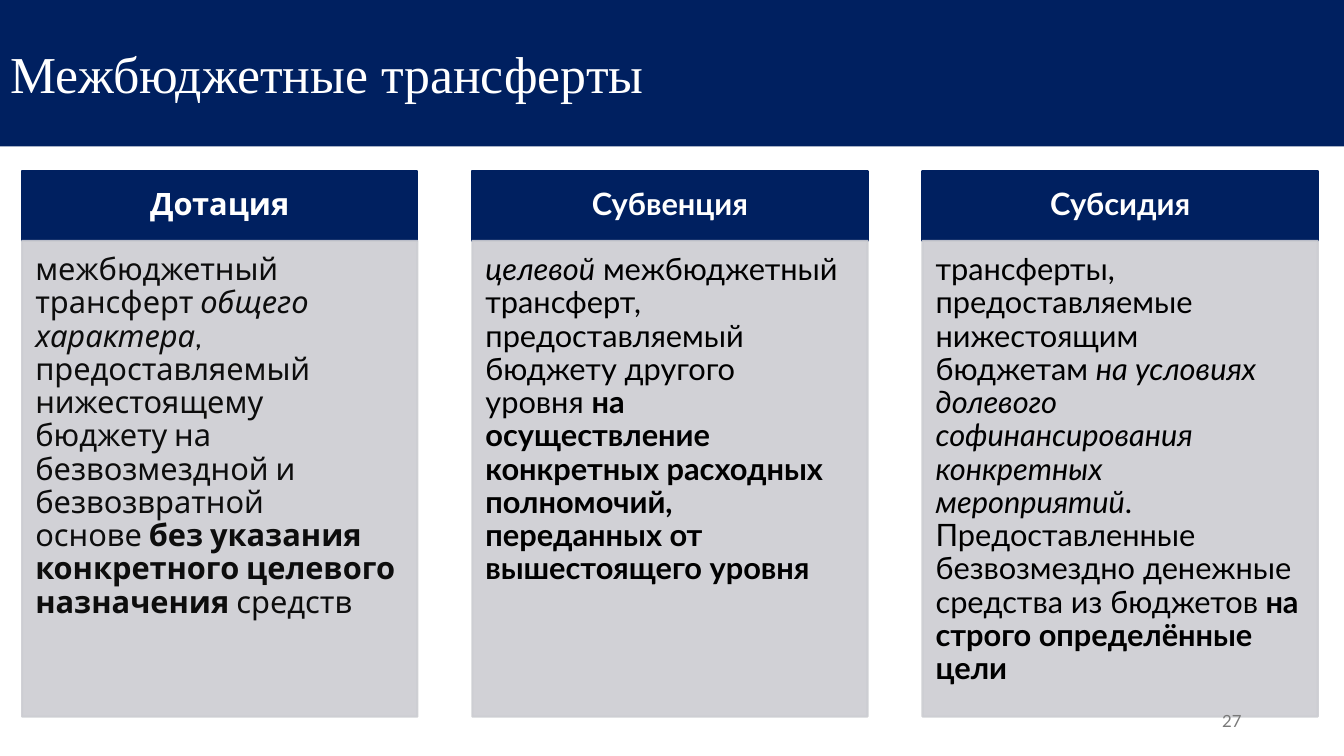
from lxml import etree
from pptx import Presentation
from pptx import util as u
from pptx.dml.color import RGBColor
from pptx.enum import shapes, text
from pptx.oxml.ns import qn

NAVY, GREY, WHITE = "002060", "CCCDD2", "FFFFFF"
PLAIN, BOLD, ITALIC = {}, {"bold": True}, {"italic": True}
TIE, HARD_SPACE = "~", chr(160)

TRANSFERS = [
    ("Дотация", "Cabin", "0D0D0D", [
        ("межбюджетный трансферт ", PLAIN),
        ("общего характера", ITALIC),
        (", предоставляемый нижестоящему бюджету на безвозмездной и безвозвратной основе~", PLAIN),
        ("без указания конкретного целевого назначения", BOLD),
        ("~средств", PLAIN)]),
    ("Субвенция", "Lato", "000000", [
        ("целевой", ITALIC),
        ("~межбюджетный трансферт, предоставляемый бюджету другого уровня~", PLAIN),
        ("на осуществление конкретных расходных полномочий, переданных от вышестоящего уровня", BOLD)]),
    ("Субсидия", "Lato", "000000", [
        ("трансферты, предоставляемые нижестоящим бюджетам~", PLAIN),
        ("на условиях долевого софинансирования конкретных мероприятий", ITALIC),
        (". Предоставленные безвозмездно денежные средства из бюджетов", PLAIN),
        (" на строго определённые цели", BOLD)]),
]


def color(value):
    return RGBColor.from_string(value)


def set_alpha(fill, percent):
    for element in fill.iter(qn("a:srgbClr")):
        etree.SubElement(element, qn("a:alpha")).set("val", str(percent * 1000))


def write(shape, runs, font, size, ink, anchor, align, margins, spacing=1.0):
    frame = shape.text_frame
    left, top, right, bottom = (u.Cm(margin) for margin in margins)
    frame_format = {"word_wrap": True, "vertical_anchor": anchor,
                    "margin_left": left, "margin_top": top,
                    "margin_right": right, "margin_bottom": bottom}
    for name, value in frame_format.items():
        setattr(frame, name, value)
    paragraph = frame.paragraphs[0]
    paragraph.alignment = align
    paragraph.line_spacing = spacing
    for words, style in runs:
        run = paragraph.add_run()
        run.text = words.replace(TIE, HARD_SPACE)
        for name, value in {"name": font, "size": u.Pt(size), **style}.items():
            setattr(run.font, name, value)
        run.font.color.rgb = color(ink)


def add_panel(slide, box, fill, outlined=True, alpha=None):
    shape = slide.shapes.add_shape(shapes.MSO_SHAPE.RECTANGLE, *(u.Cm(side) for side in box))
    shape.shadow.inherit = False
    shape.fill.solid()
    shape.fill.fore_color.rgb = color(fill)
    if outlined:
        shape.line.color.rgb = color(fill)
        shape.line.width = u.Pt(1.5)
    else:
        shape.line.fill.background()
    if alpha:
        set_alpha(shape.element.spPr, alpha)
    return shape


def add_title(slide, box, words):
    write(add_panel(slide, box, NAVY, outlined=False), [(words, PLAIN)],
          "Times New Roman", 37, WHITE, text.MSO_ANCHOR.MIDDLE,
          text.PP_ALIGN.LEFT, (0.26, 0.25, 0.25, 0.25))


def add_transfer(slide, box, name, font, ink, runs):
    left, top, width, height = box
    header = 1.77
    write(add_panel(slide, (left, top, width, header), NAVY), [(name, BOLD)],
          font, 22, WHITE, text.MSO_ANCHOR.MIDDLE, text.PP_ALIGN.CENTER,
          (0.43, 0.25, 0.43, 0.25), 0.9)
    body = add_panel(slide, (left, top + header, width, height - header), GREY, alpha=90)
    write(body, runs, font, 22, ink, text.MSO_ANCHOR.TOP, text.PP_ALIGN.LEFT,
          (0.33, 0.33, 0.43, 0.48), 0.9)


def add_columns(slide, box, transfers):
    left, top, width, height = box
    column = 9.96
    step = (width - column) / (len(transfers) - 1)
    for index, transfer in enumerate(transfers):
        add_transfer(slide, (left + index * step, top, column, height), *transfer)


def add_number(slide, box, number):
    shape = slide.shapes.add_textbox(*(u.Cm(side) for side in box))
    write(shape, [(number, PLAIN)], "Lato", 12, "797979", text.MSO_ANCHOR.MIDDLE,
          text.PP_ALIGN.RIGHT, (0.25, 0.13, 0.25, 0.13))


def main():
    presentation = Presentation()
    presentation.slide_width, presentation.slide_height = u.Cm(33.87), u.Cm(19.05)
    slide = presentation.slides.add_slide(presentation.slide_layouts[6])
    add_columns(slide, (0.56, 4.3, 32.65, 13.76), TRANSFERS)
    add_number(slide, (23.92, 17.66, 7.62, 1.01), "27")
    add_title(slide, (0, 0, 33.87, 3.69), "Межбюджетные трансферты")
    presentation.save("out.pptx")


if __name__ == "__main__":
    main()
